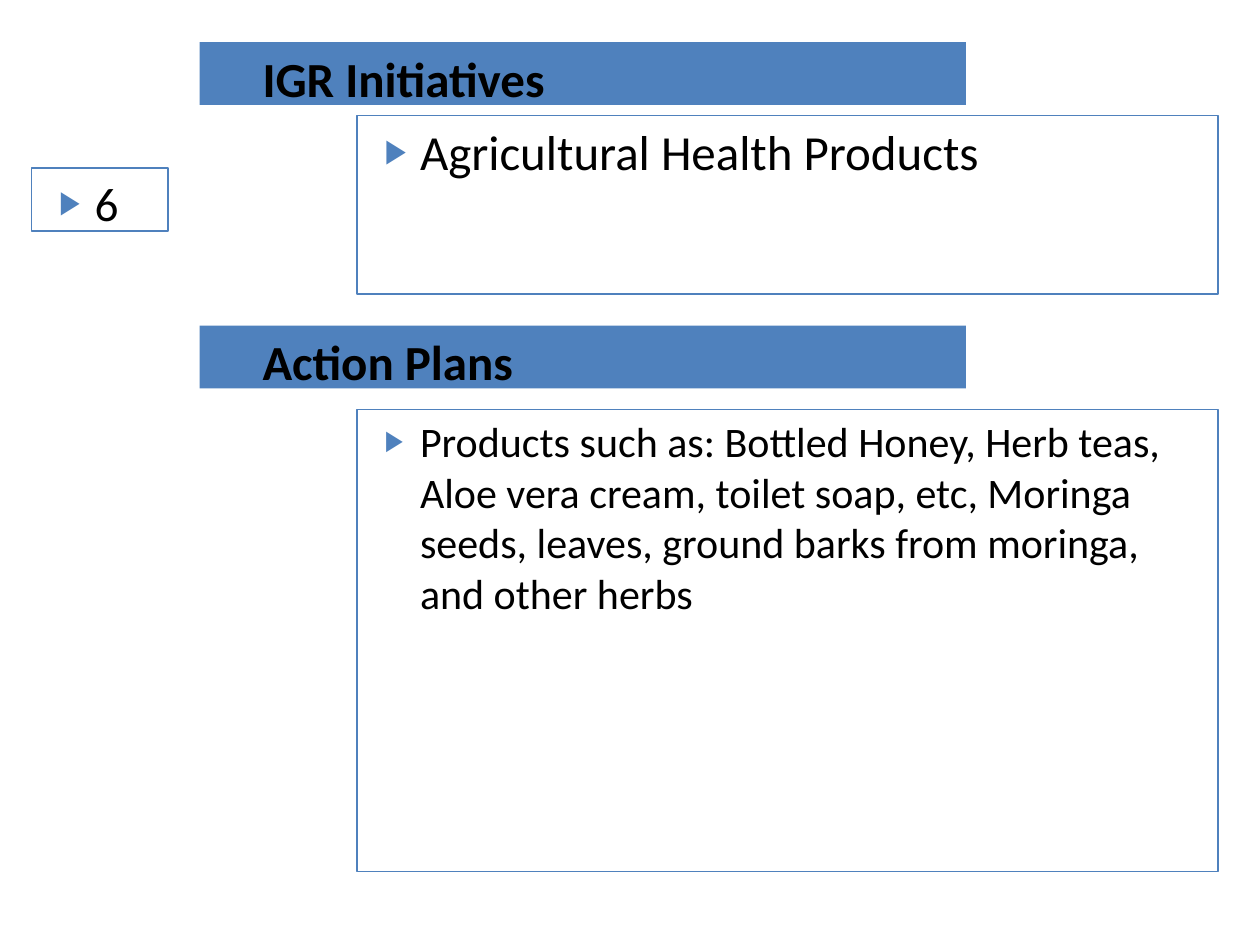
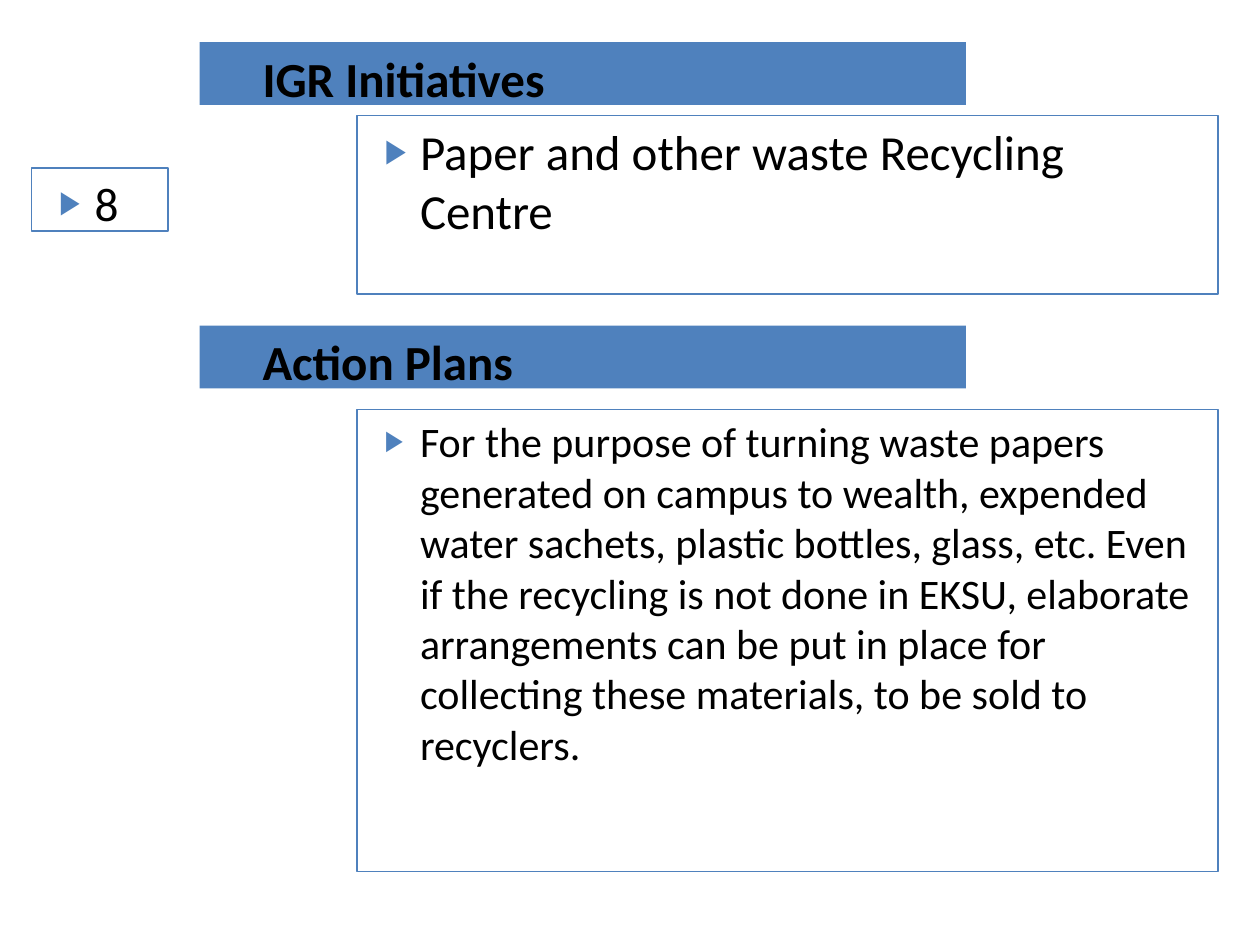
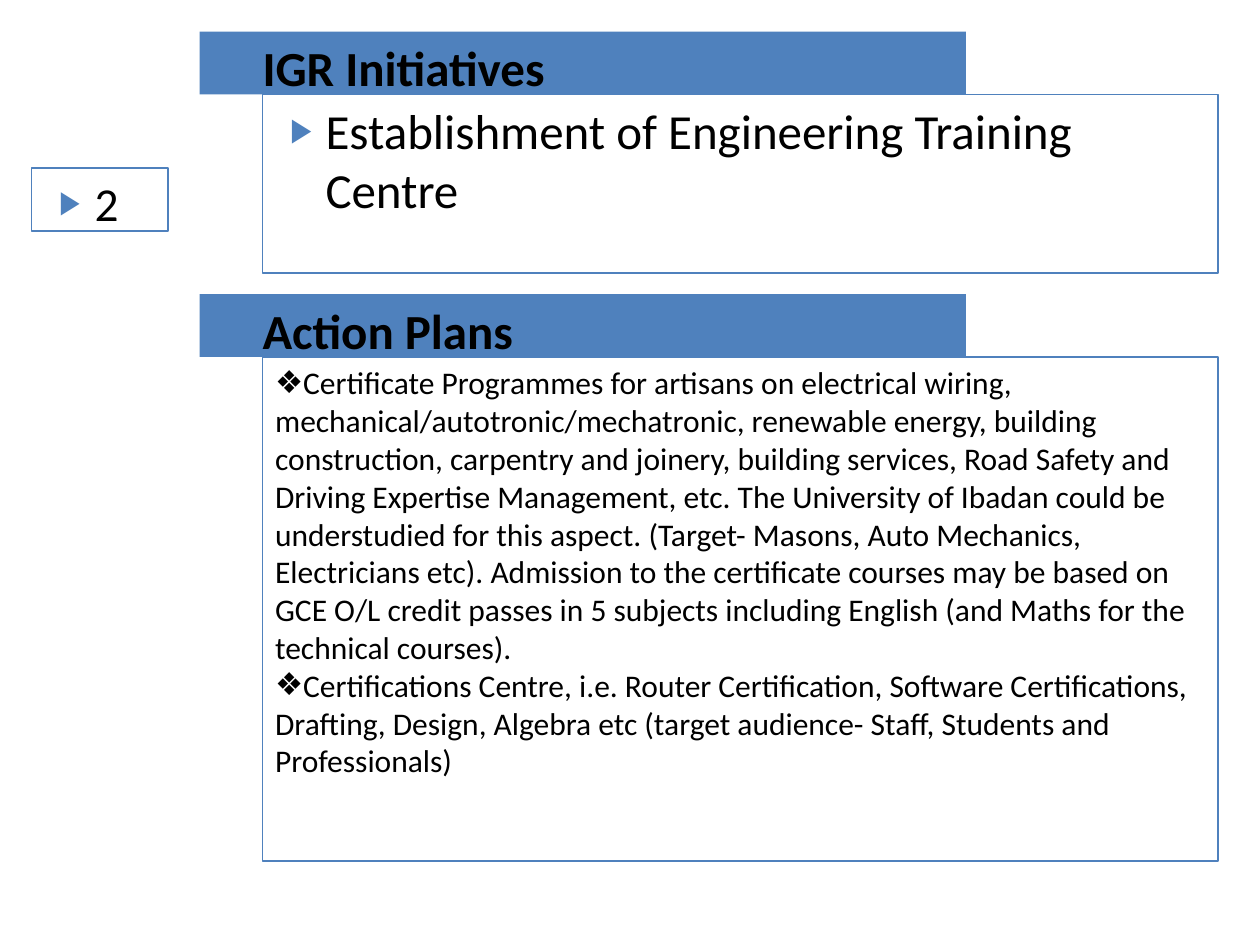
from lxml import etree
from pptx import Presentation
from pptx.dml.color import RGBColor
from pptx.enum import text as t
from pptx.oxml import ns
from pptx.util import Pt

FONT, BLUE, BLACK = "Calibri", "4F81BD", "000000"
RIGHT = 696
ARROW = dict(mark="▶", left=28.8, hang=-20.16)
PLAIN = dict(mark=None, left=28.8, hang=0)
GEM = dict(mark="❖", left=0, hang=0)

# Tops and heights of each part; x is the left edge of the framed boxes
WIDE = dict(x=204, head=24, goal=66, plan=186, list=234, deep=264)
TIGHT = dict(x=150, head=18, goal=54, plan=168, list=204, deep=288)

SLIDES = [
    (WIDE, "6", "Agricultural Health Products", 24, ARROW, [
        "Products such as: Bottled Honey, Herb teas, Aloe vera cream, "
        "toilet soap, etc, Moringa seeds, leaves, ground barks from "
        "moringa, and other herbs"]),
    (WIDE, "8", "Paper and other waste Recycling Centre", 24, ARROW, [
        "For the purpose of turning waste papers generated on campus to "
        "wealth, expended water sachets, plastic bottles, glass, etc. Even "
        "if the recycling is not done in EKSU, elaborate arrangements can "
        "be put in place for collecting these materials, to be sold to "
        "recyclers."]),
    (TIGHT, "2", "Establishment of Engineering Training Centre", 18, GEM, [
        "Certificate Programmes for artisans on electrical wiring, "
        "mechanical/autotronic/mechatronic, renewable energy, building "
        "construction, carpentry and joinery, building services, Road "
        "Safety and Driving Expertise Management, etc. The University of "
        "Ibadan could be understudied for this aspect. (Target- Masons, "
        "Auto Mechanics, Electricians etc). Admission to the certificate "
        "courses may be based on GCE O/L credit passes in 5 subjects "
        "including English (and Maths for the technical courses).",
        "Certifications Centre, i.e. Router Certification, Software "
        "Certifications, Drafting, Design, Algebra etc (target audience- "
        "Staff, Students and Professionals)"]),
]


def color(code):
    return RGBColor.from_string(code)


def bullet(par, mark, left, hang):
    """Set the indent and bullet of a paragraph."""
    props = par._p.get_or_add_pPr()
    props.set("marL", str(Pt(left)))
    props.set("indent", str(Pt(hang)))

    def add(parent, tag, **attrs):
        return etree.SubElement(parent, ns.qn("a:" + tag), **attrs)

    if mark is None:
        add(props, "buNone")
        return
    if mark == ARROW["mark"]:
        add(add(props, "buClr"), "srgbClr", val=BLUE)
        add(props, "buSzPct", val="68000")
    add(props, "buChar", char=mark)


def write(shape, box, lines, size, style, bold=False):
    """Place a placeholder and fill it with paragraphs."""
    shape.left, shape.top, shape.width, shape.height = map(Pt, box)
    frame = shape.text_frame
    frame.word_wrap = True
    frame.auto_size = t.MSO_AUTO_SIZE.NONE
    frame.vertical_anchor = t.MSO_ANCHOR.TOP
    for i, line in enumerate(lines):
        par = frame.add_paragraph() if i else frame.paragraphs[0]
        bullet(par, **style)
        par.alignment = t.PP_ALIGN.LEFT
        par.space_before = Pt(0)
        run = par.add_run()
        run.text = line
        run.font.name, run.font.size, run.font.bold = FONT, Pt(size), bold
        run.font.color.rgb = color(BLACK)


def band(shape, top, label):
    write(shape, (114, top, 438, 36), [label], 28, PLAIN, True)
    shape.fill.solid()
    shape.fill.fore_color.rgb = color(BLUE)


def panel(shape, box, lines, size, style=ARROW):
    write(shape, box, lines, size, style)
    shape.line.color.rgb = color(BLUE)
    shape.line.width = Pt(0.75)


def build(deck, grid, number, goal, size, style, plans):
    slide = deck.slides.add_slide(deck.slide_layouts.get_by_name("Comparison"))
    head, plan, aim, tag, body = (slide.placeholders[i] for i in range(5))
    x, wide = grid["x"], RIGHT - grid["x"]
    panel(aim, (x, grid["goal"], wide, 102), [goal], 28)
    panel(tag, (18, 96, 78, 36), [number], 27)
    panel(body, (x, grid["list"], wide, grid["deep"]), plans, size, style)
    band(head, grid["head"], "IGR Initiatives")
    band(plan, grid["plan"], "Action Plans")


def main():
    deck = Presentation()
    deck.slide_width, deck.slide_height = Pt(720), Pt(540)
    for parts in SLIDES:
        build(deck, *parts)
    deck.save("out.pptx")


if __name__ == "__main__":
    main()
